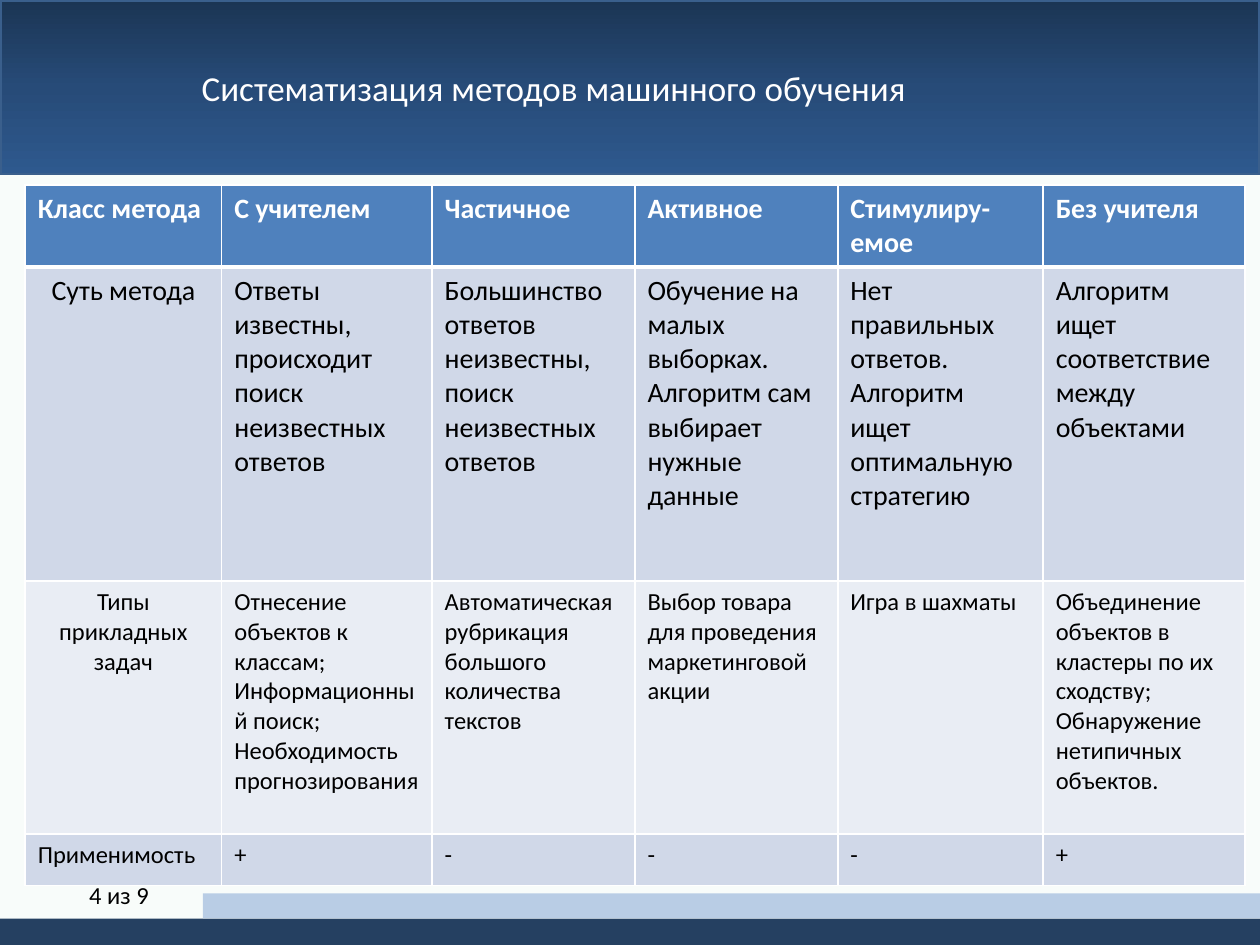
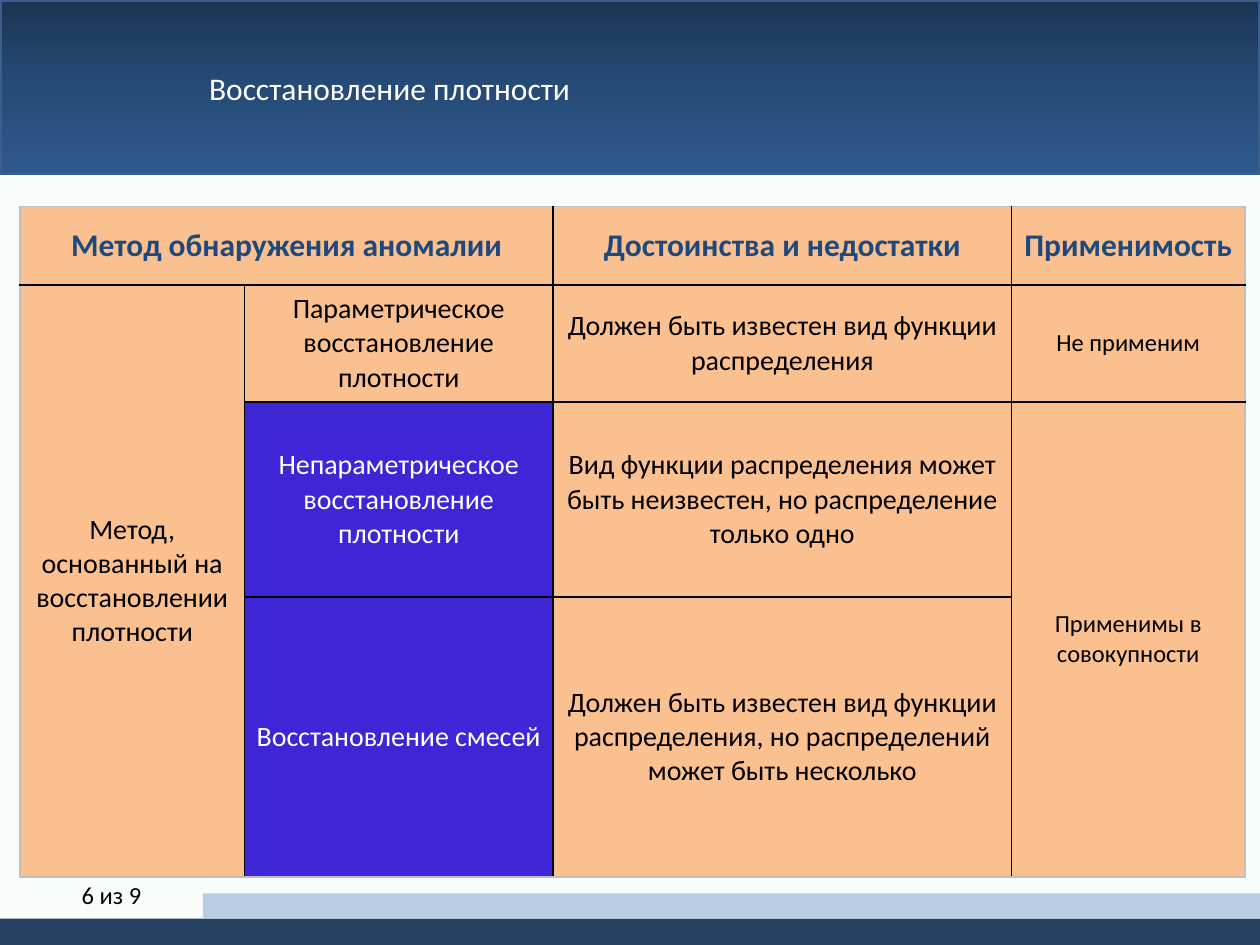
from copy import deepcopy
from dataclasses import dataclass

from pptx import Presentation
from pptx.dml.color import RGBColor as RGB
from pptx.enum.shapes import MSO_SHAPE as Shape
from pptx.enum.text import MSO_ANCHOR as Anchor, MSO_AUTO_SIZE as Fit, PP_ALIGN as Align
from pptx.oxml import parse_xml
from pptx.oxml.ns import nsdecls, qn
from pptx.util import Inches, Pt


@dataclass(frozen=True)
class Theme:
    font: str = "Calibri"
    # colours of the frame
    page: str = "F8FCFA"
    band: tuple = ("1B3554", "274B78", "2E598E")
    rim: str = "3A5F8C"
    navy: str = "254061"
    pale: str = "B9CDE5"
    # colours of the tables
    white: str = "FFFFFF"
    black: str = "000000"
    head: str = "4F81BD"
    rows: tuple = ("D0D8E8", "E9EDF4")
    peach: str = "FAC090"
    violet: str = "3E25D5"
    ink: str = "1F497D"
    grey: str = "BFBFBF"
    # type sizes
    big: int = 20
    mid: int = 18
    text: int = 16
    small: int = 14


look = Theme()


def write(frame, text, size=look.small, color=look.black, bold=False,
          align=Align.LEFT, anchor=Anchor.MIDDLE):
    """Each line of the text becomes a paragraph."""
    frame.word_wrap = True
    frame.vertical_anchor = anchor
    for num, line in enumerate(text.split("\n")):
        para = frame.add_paragraph() if num else frame.paragraphs[0]
        para.alignment = align
        run = para.add_run()
        run.text = line
        run.font.name = look.font
        run.font.size = Pt(size)
        run.font.bold = bold
        run.font.color.rgb = RGB.from_string(color)


def paint(cell, fill, edges):
    """Edges are (colour, points) for left, right, top and bottom."""
    props = cell._tc.get_or_add_tcPr()
    for side, (color, width) in zip("LRTB", edges):
        props.append(parse_xml(
            f'<a:ln{side} {nsdecls("a")} w="{Pt(width)}"><a:solidFill>'
            f'<a:srgbClr val="{color}"/></a:solidFill></a:ln{side}>'))
    cell.fill.solid()
    cell.fill.fore_color.rgb = RGB.from_string(fill)


deck = Presentation()
deck.slide_width, deck.slide_height = Inches(10), Inches(7.5)

# What the slides share: title band, page, bottom strips, page count
heads = [
    ("Систематизация методов машинного обучения", look.big, 1.6, "4 из 9", -0.22),
    ("Восстановление плотности", look.mid, 1.66, "6 из 9", -0.28),
]
strips = [
    (0, 1.39, 10, 6.11, look.page),
    (0, 7.29, 10, 0.21, look.navy),
    (1.61, 7.09, 8.39, 0.2, look.pale),
]
slides = []
for name, size, inset, count, left in heads:
    slide = deck.slides.add_slide(deck.slide_layouts[5])
    slides.append(slide)

    title = slide.shapes.title
    title.left, title.top = Inches(0), Inches(0)
    title.width, title.height = Inches(10), Inches(1.39)
    title.fill.gradient()
    title.fill.gradient_angle = 270
    stops = title._element.spPr.find(qn("a:gradFill")).find(qn("a:gsLst"))
    stops.insert(1, deepcopy(stops[0]))
    for stop, color, place in zip(title.fill.gradient_stops, look.band, (0, 0.5, 1)):
        stop.color.rgb = RGB.from_string(color)
        stop.position = place
    title.line.color.rgb = RGB.from_string(look.rim)
    title.line.width = Pt(2)
    title.text_frame.auto_size = Fit.NONE
    title.text_frame.margin_left = Inches(inset)
    write(title.text_frame, name, size=size, color=look.white)

    for x, y, wide, high, color in strips:
        strip = slide.shapes.add_shape(
            Shape.RECTANGLE, Inches(x), Inches(y), Inches(wide), Inches(high))
        strip.shadow.inherit = False
        strip.fill.solid()
        strip.fill.fore_color.rgb = RGB.from_string(color)
        strip.line.fill.background()

    box = slide.shapes.add_textbox(Inches(left), Inches(6.9), Inches(2.33), Inches(0.4))
    write(box.text_frame, count, align=Align.CENTER)

# Both tables: place, column widths, row heights
plans = [
    (0.2, 1.47, (1.56, 1.67, 1.61, 1.61, 1.63, 1.6), (0.65, 2.49, 2.01, 0.41)),
    (0.16, 1.64, (1.78, 2.45, 3.64, 1.85), (0.62, 0.93, 1.55, 2.22)),
]
grids = []
for slide, (x, y, cols, rows) in zip(slides, plans):
    grid = slide.shapes.add_table(
        len(rows), len(cols), Inches(x), Inches(y),
        Inches(sum(cols)), Inches(sum(rows))).table
    for col, wide in zip(grid.columns, cols):
        col.width = Inches(wide)
    for row, high in zip(grid.rows, rows):
        row.height = Inches(high)
    grids.append(grid)
kinds, density = grids

# Slide 1: classes of methods
facts = [
    ["Класс метода", "С учителем", "Частичное", "Активное", "Стимулиру-емое",
     "Без учителя"],
    ["Суть метода",
     "Ответы\nизвестны,\nпроисходит\nпоиск\nнеизвестных\nответов",
     "Большинство\nответов\nнеизвестны,\nпоиск\nнеизвестных\nответов",
     "Обучение на\nмалых\nвыборках.\nАлгоритм сам\nвыбирает\nнужные\nданные",
     "Нет\nправильных\nответов.\nАлгоритм\nищет\nоптимальную\nстратегию",
     "Алгоритм\nищет\nсоответствие\nмежду\nобъектами"],
    ["Типы прикладных задач",
     "Отнесение объектов к классам;\nИнформационный поиск;\n"
     "Необходимость прогнозирования",
     "Автоматическая\nрубрикация\nбольшого количества текстов",
     "Выбор товара для проведения маркетинговой акции",
     "Игра в шахматы",
     "Объединение объектов в кластеры по их сходству;\n"
     "Обнаружение нетипичных объектов."],
    ["Применимость", "+", "-", "-", "-", "+"],
]
thin, thick = (look.white, 1), (look.white, 3)
for r, line in enumerate(facts):
    for c, text in enumerate(line):
        cell = kinds.cell(r, c)
        top = thick if r == 1 else thin
        low = thick if r == 0 else thin
        fill = look.rows[(r - 1) % 2] if r else look.head
        paint(cell, fill, (thin, thin, top, low))
        write(cell.text_frame, text,
              size=look.text if r < 2 else look.small,
              color=look.black if r else look.white, bold=r == 0,
              align=Align.CENTER if c == 0 and r in (1, 2) else Align.LEFT,
              anchor=Anchor.TOP)

# Slide 2: density methods, None marks a cell covered by a merge
density.cell(0, 0).merge(density.cell(0, 1))
density.cell(1, 0).merge(density.cell(3, 0))
density.cell(2, 3).merge(density.cell(3, 3))
facts = [
    ["Метод обнаружения аномалии", None, "Достоинства и недостатки", "Применимость"],
    ["Метод, основанный на восстановлении плотности",
     "Параметрическое восстановление плотности",
     "Должен быть известен вид функции распределения", "Не применим"],
    [None, "Непараметрическое восстановление плотности",
     "Вид функции распределения может быть неизвестен, но распределение только одно",
     "Применимы в совокупности"],
    [None, "Восстановление смесей",
     "Должен быть известен вид функции распределения, "
     "но распределений может быть несколько", None],
]
rim, thin, thick = (look.grey, 1), (look.black, 1), (look.black, 1.5)
for r, line in enumerate(facts):
    for c, text in enumerate(line):
        if text is None:
            continue
        cell = density.cell(r, c)
        dark = c == 1 and r > 1
        last = r + cell.span_height == len(facts)
        paint(cell, look.violet if dark else look.peach, (
            thin if c else rim,
            rim if c == 3 else thin,
            (rim, thick, thin, thin)[r],
            rim if last else thin if r else thick))
        cell.margin_left = cell.margin_right = Inches(0.07)
        cell.margin_top = cell.margin_bottom = Inches(0)
        cell.vertical_anchor = Anchor.MIDDLE
        write(cell.text_frame, text, align=Align.CENTER, bold=r == 0,
              size=look.mid if r == 0 else look.small if c == 3 else look.text,
              color=look.ink if r == 0 else look.white if dark else look.black)

deck.save("out.pptx")
